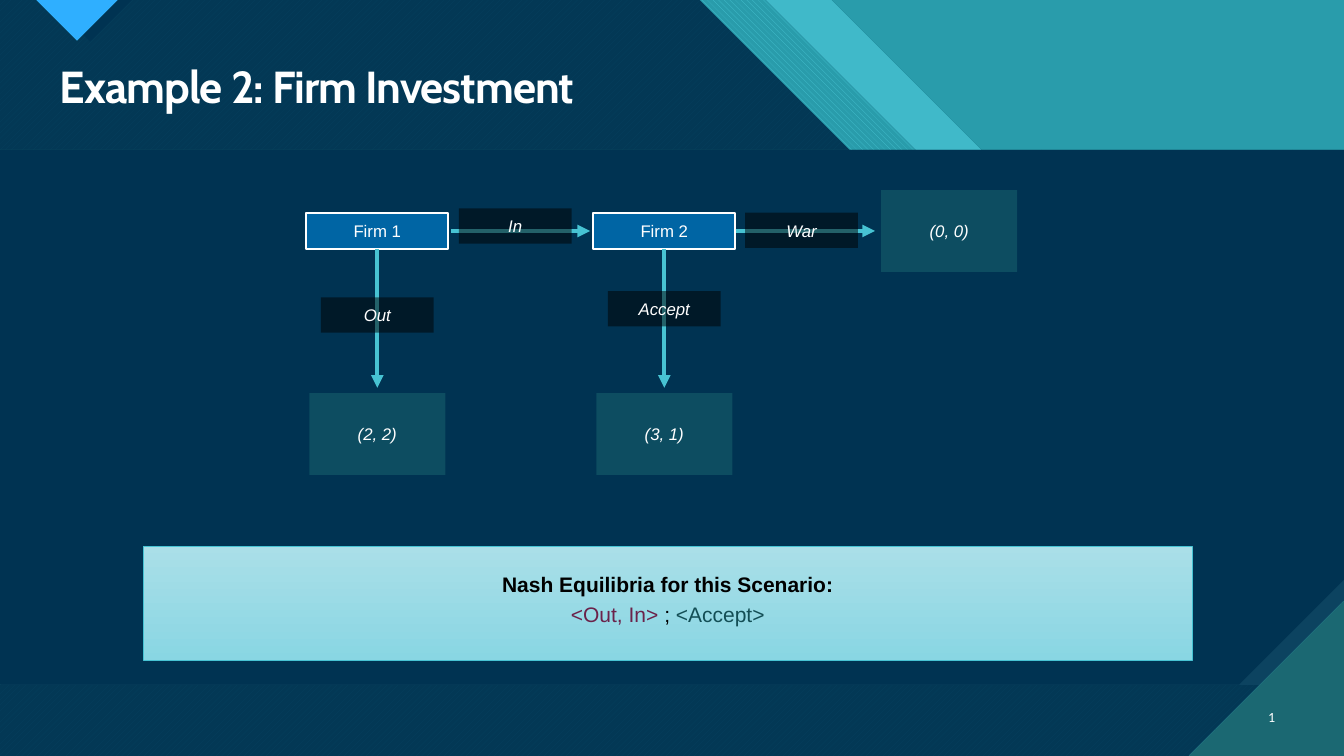
import pptx
import pptx.util
import pptx.dml.color
import pptx.enum.dml
import pptx.enum.shapes
import pptx.enum.text
import pptx.oxml.ns
from lxml import etree

Pt = pptx.util.Pt
qn = pptx.oxml.ns.qn
ALIGN = pptx.enum.text.PP_ALIGN
ANCHOR = pptx.enum.text.MSO_ANCHOR
PATTERN = pptx.enum.dml.MSO_PATTERN

COLORS = {
    "navy": "003352", "stripe": "07415F", "stripe_gap": "033855",
    "strip": "0C4360", "teal": "299CAB", "band": "40B9C9", "aqua": "47C3D3",
    "deep": "1B6872", "blue": "2FAFFF", "node": "0065A4", "payoff": "1A6871",
    "white": "FFFFFF", "black": "000000", "plum": "6B224A", "pine": "134E55",
    "box_top": "AADFE8", "box_end": "89D6E3",
}
HEADER_H, BODY_H = 107, 382
ROW_Y, PAYOFF_Y = 165, 310
FIRM_X = (269.5, 474.5)
END_X = 678
NODE, LABEL, PAYOFF = (101.5, 26), (80.6, 25.2), (97.2, 58.3)


def rgb(name):
    return pptx.dml.color.RGBColor.from_string(COLORS[name])


def set_fill(fill, color, back=None, pattern=None, alpha=None):
    if pattern is None:
        fill.solid()
        fill.fore_color.rgb = rgb(color)
    else:
        fill.patterned()
        fill.pattern = pattern
        fill.fore_color.rgb = rgb(color)
        fill.back_color.rgb = rgb(back)
    return alpha


def set_alpha(sp, percent):
    clr = sp.fill._xPr.find(qn("a:solidFill"))[0]
    etree.SubElement(clr, qn("a:alpha")).set("val", str(percent * 1000))


def add_polygon(s, points, color, back=None, pattern=None):
    pts = [(Pt(x), Pt(y)) for x, y in points]
    builder = s.shapes.build_freeform(*pts[0], scale=1.0)
    builder.add_line_segments(pts[1:], close=True)
    sp = builder.convert_to_shape()
    sp.shadow.inherit = False
    set_fill(sp.fill, color, back, pattern)
    sp.line.fill.background()


def add_run(p, text, size, color="white", font="Arial", bold=False, italic=False):
    r = p.add_run()
    r.text = text
    r.font.name, r.font.size = font, Pt(size)
    r.font.bold, r.font.italic = bold, italic
    r.font.color.rgb = rgb(color)
    return r


def add_rect(s, x, y, w, h):
    sp = s.shapes.add_shape(pptx.enum.shapes.MSO_SHAPE.RECTANGLE,
                            Pt(x), Pt(y), Pt(w), Pt(h))
    sp.shadow.inherit = False
    sp.line.fill.background()
    return sp


def add_box(s, text, cx, cy, size, color, alpha=None):
    """Centred text box around (cx, cy); opaque ones get a white outline."""
    w, h = size
    sp = add_rect(s, cx - w / 2, cy - h / 2, w, h)
    set_fill(sp.fill, color)
    if alpha:
        set_alpha(sp, alpha)
    else:
        sp.line.color.rgb = rgb("white")
        sp.line.width = Pt(1.5)
    tf = sp.text_frame
    tf.vertical_anchor = ANCHOR.MIDDLE
    p = tf.paragraphs[0]
    p.alignment = ALIGN.CENTER
    add_run(p, text, 12, italic=alpha is not None)


def add_arrow(s, x1, y1, x2, y2):
    cn = s.shapes.add_connector(pptx.enum.shapes.MSO_CONNECTOR.STRAIGHT,
                                Pt(x1), Pt(y1), Pt(x2), Pt(y2))
    cn.line.color.rgb = rgb("aqua")
    cn.line.width = Pt(3)
    etree.SubElement(cn.line._get_or_add_ln(), qn("a:tailEnd")).set("type", "triangle")
    etree.SubElement(cn._element.spPr, qn("a:effectLst"))


def add_backdrop(s):
    set_fill(s.background.fill, "stripe", "stripe_gap", PATTERN.WIDE_UPWARD_DIAGONAL)

    # Slanted header bands
    def slant(left, right):
        return [(left, 0), (right, 0), (right + HEADER_H, HEADER_H),
                (left + HEADER_H, HEADER_H)]
    add_polygon(s, slant(500, 547), "aqua", "teal", PATTERN.WIDE_DOWNWARD_DIAGONAL)
    add_polygon(s, slant(547, 594), "band")
    add_polygon(s, [(594, 0), (960, 0), (960, HEADER_H), (594 + HEADER_H, HEADER_H)],
                "teal")

    # Top marker with its offset shade
    add_polygon(s, [(35, 0), (94, 0), (64.5, 29.5)], "navy")
    add_polygon(s, [(26, 0), (84, 0), (55, 29)], "blue", "deep",
                PATTERN.DARK_HORIZONTAL)

    # Body panel with a cut corner, then the page corner
    bottom, cut = HEADER_H + BODY_H, 75
    panel = add_rect(s, 0, HEADER_H, 960, BODY_H)
    set_fill(panel.fill, "strip", "deep", PATTERN.DARK_VERTICAL)
    add_polygon(s, [(0, HEADER_H), (960, HEADER_H), (960, bottom - cut),
                    (960 - cut, bottom), (0, bottom)], "navy")
    add_polygon(s, [(849, 540), (960, 540), (960, 429)], "deep", "aqua",
                PATTERN.DARK_HORIZONTAL)


def add_title(s, text):
    sp = s.shapes.title
    sp.left, sp.top, sp.width, sp.height = Pt(35.5), Pt(42.5), Pt(883), Pt(42.5)
    tf = sp.text_frame
    tf.vertical_anchor = ANCHOR.TOP
    tf.auto_size = pptx.enum.text.MSO_AUTO_SIZE.NONE
    p = tf.paragraphs[0]
    p.alignment, p.line_spacing = ALIGN.LEFT, 0.9
    r = add_run(p, text, 32, font="Cabin", bold=True)
    r.font._element.set("spc", "-70")


def add_page_number(s, number):
    tf = s.shapes.add_textbox(Pt(886), Pt(497.5), Pt(32), Pt(29)).text_frame
    tf.word_wrap = True
    tf.vertical_anchor = ANCHOR.MIDDLE
    p = tf.paragraphs[0]
    p.alignment = ALIGN.RIGHT
    r = add_run(p, number, 10, font="Calibri")
    # Turn the run into a slide number field
    r._r.tag = qn("a:fld")
    r._r.set("id", "{B6F15528-21DE-4FAA-801E-634DDDAF4B2B}")
    r._r.set("type", "slidenum")


def add_equilibria(s):
    sp = add_rect(s, 102.5, 390, 749, 81.5)
    sp.fill.gradient()
    sp.fill.gradient_angle = 270
    for stop, color in zip(sp.fill.gradient_stops, ("box_top", "box_end")):
        stop.color.rgb = rgb(color)
    sp.line.color.rgb = rgb("aqua")
    sp.line.width = Pt(0.5)
    tf = sp.text_frame
    tf.vertical_anchor = ANCHOR.TOP
    tf.margin_top = Pt(18)
    p = tf.paragraphs[0]
    p.alignment = ALIGN.CENTER
    add_run(p, "Nash Equilibria for this Scenario:", 15, "black", bold=True)
    p = tf.add_paragraph()
    p.alignment, p.space_before = ALIGN.CENTER, Pt(4)
    for text, color in (("<Out, In> ", "plum"), ("; ", "black"), ("<Accept>", "pine")):
        add_run(p, text, 15, color)


def main():
    prs = pptx.Presentation()
    prs.slide_width, prs.slide_height = Pt(960), Pt(540)
    s = prs.slides.add_slide(prs.slide_layouts[5])
    add_backdrop(s)
    add_title(s, "Example 2: Firm Investment")
    add_page_number(s, "29")

    # Game tree: each firm moves right or ends the game below
    for i, (x, payoff) in enumerate(zip(FIRM_X, ("(2, 2)", "(3, 1)")), 1):
        add_box(s, f"Firm {i}", x, ROW_Y, NODE, "node")
        add_arrow(s, x, ROW_Y + NODE[1] / 2, x, 277)
        add_box(s, payoff, x, PAYOFF_Y, PAYOFF, "payoff", 50)
    add_box(s, "(0, 0)", END_X, ROW_Y, PAYOFF, "payoff", 50)
    for x in (322, 525.5):
        add_arrow(s, x, ROW_Y, x + 99.5, ROW_Y)
    for move, x, y in (("Out", FIRM_X[0], 225), ("In", 368, 161.5),
                       ("Accept", FIRM_X[1], 220.5), ("War", 572.5, 164.5)):
        add_box(s, move, x, y, LABEL, "black", 50)

    add_equilibria(s)
    prs.save("out.pptx")


if __name__ == "__main__":
    main()
